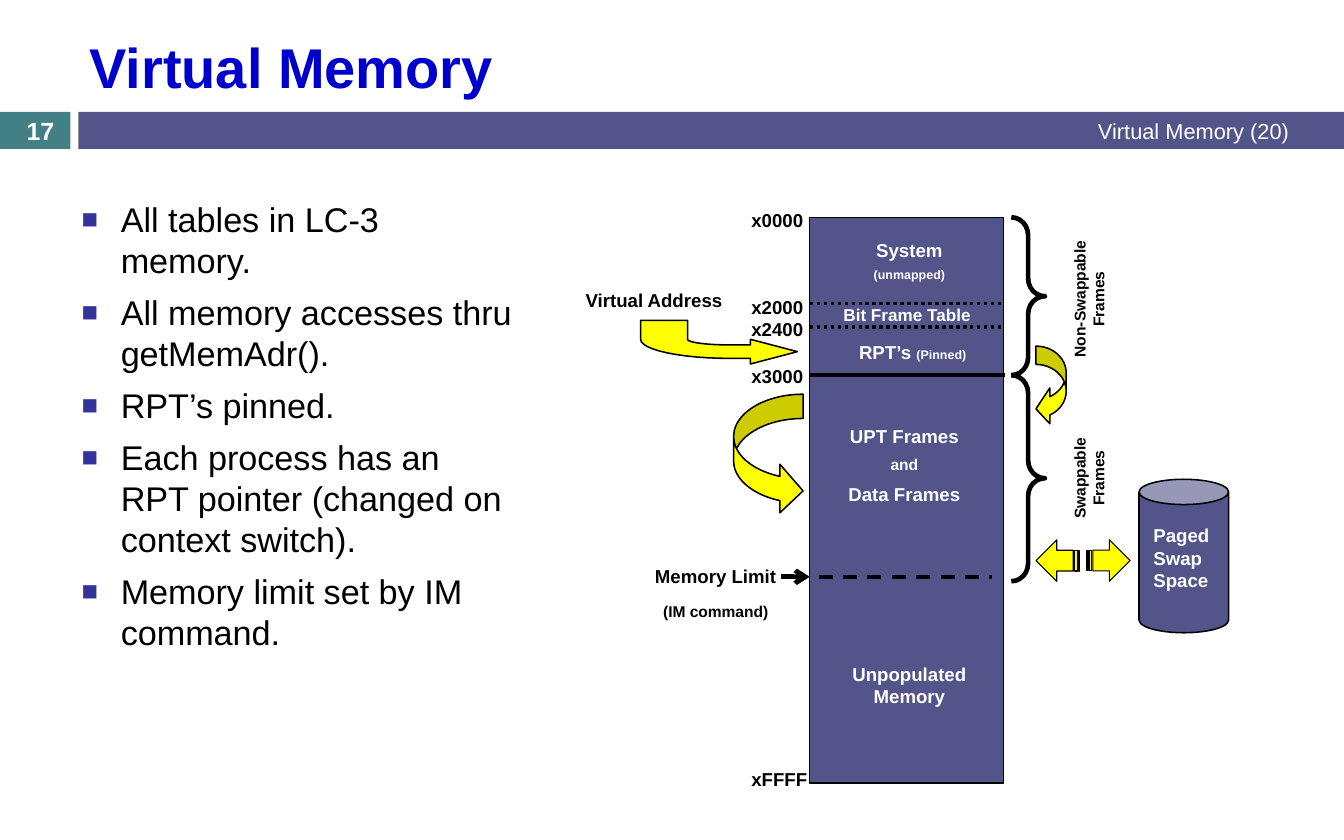
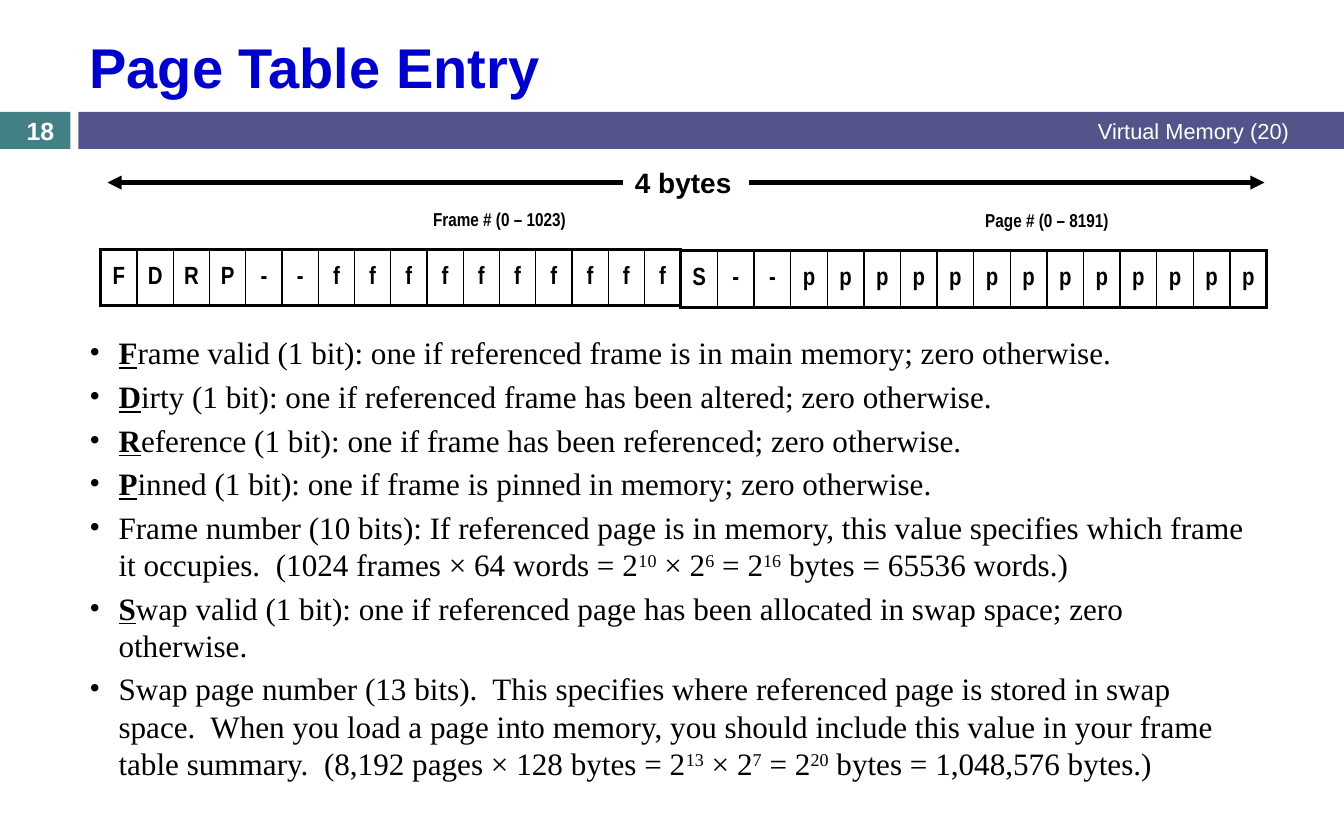
from math import cos, pi, sin

from lxml.etree import SubElement
from pptx import Presentation
from pptx.dml.color import RGBColor
from pptx.enum.dml import MSO_LINE as Dash
from pptx.enum.shapes import MSO_CONNECTOR, MSO_SHAPE as Preset
from pptx.enum.text import MSO_ANCHOR as Anchor, PP_ALIGN as Align
from pptx.oxml.ns import qn
from pptx.util import Inches, Pt

hue = RGBColor.from_string
BLACK, WHITE, TITLE = "000000", "FFFFFF", "0000CC"
SLATE, TEAL, YELLOW, BULLET = "53548A", "438086", "FFFF00", "333399"

deck = Presentation()
deck.slide_width, deck.slide_height = Inches(12), Inches(7.5)
COL, ROW = deck.slide_width // 120, deck.slide_height // 75


def grid(*spans):
    return [round(span * (ROW if i % 2 else COL)) for i, span in enumerate(spans)]


def write(frame, paragraphs, size=12, color=BLACK, bold=True, font="Arial",
          align=Align.LEFT, gap=0, bullet=None, **layout):
    for name, value in ({"word_wrap": True} | layout).items():
        setattr(frame, name, value)
    for i, runs in enumerate(paragraphs):
        line = frame.add_paragraph() if i else frame.paragraphs[0]
        line.alignment = align
        if i:
            line.space_before = Pt(gap)
        if bullet:
            mark, indent, tint, percent = bullet
            pPr = line._p.get_or_add_pPr()
            pPr.set("marL", str(Inches(indent)))
            pPr.set("indent", str(-Inches(indent)))
            SubElement(SubElement(pPr, qn("a:buClr")), qn("a:srgbClr"), val=tint)
            SubElement(pPr, qn("a:buSzPct"), val=str(percent * 1000))
            SubElement(pPr, qn("a:buFont"), typeface=font)
            SubElement(pPr, qn("a:buChar"), char=mark)
        for text, changes in [(runs, {})] if isinstance(runs, str) else runs:
            for k, piece in enumerate(text.split("^")):
                run = line.add_run()
                run.text = piece
                look = {"name": font, "size": Pt(size), "bold": bold} | changes
                for name, value in look.items():
                    setattr(run.font, name, value)
                run.font.color.rgb = hue(color)
                if k % 2:
                    run._r.get_or_add_rPr().set("baseline", "30000")


memory, entry = [deck.slides.add_slide(deck.slide_layouts[6]) for _ in range(2)]

for number, (slide, title) in enumerate([(memory, "Virtual Memory"), (entry, "Page Table Entry")], 17):
    for box, color in [((0, 10, 6.3, 3.3), TEAL), ((7, 10, 113, 3.3), SLATE)]:
        band = slide.shapes.add_shape(Preset.RECTANGLE, *grid(*box))
        band.shadow.inherit = False
        band.fill.solid()
        band.fill.fore_color.rgb = hue(color)
        band.line.fill.background()
    for box, text, look in [
        ((7, 1.9, 109.1, 8), title, {"size": 36, "color": TITLE}),
        ((45, 9.9, 71.1, 3.5), "Virtual Memory (20)",
         {"size": 14, "color": WHITE, "bold": False, "align": Align.RIGHT}),
        ((0, 10.2, 7.2, 3), str(number), {"size": 16, "color": WHITE, "align": Align.CENTER}),
    ]:
        write(slide.shapes.add_textbox(*grid(*box)).text_frame, [text],
              vertical_anchor=Anchor.MIDDLE, **look)

points = memory.shapes.add_textbox(*grid(6.3, 17.2, 40.8, 54.9))
write(points.text_frame, [
    "All tables in LC-3 memory.",
    "All memory accesses thru getMemAdr().",
    "RPT’s pinned.",
    "Each process has an RPT pointer (changed on context switch).",
    "Memory limit set by IM command.",
], size=22, bold=False, gap=7, bullet=("■", 0.35, BULLET, 80))

quarter = [pi / 2 * step / 12 for step in range(13)]
hub_x, hub_y = 65.2, 30.3
outer = [(hub_x - 8 * sin(a), hub_y + 1.7 * cos(a)) for a in quarter]
inner = [(hub_x - 3.8 * cos(a), hub_y + 0.5 * sin(a)) for a in quarter]
outline = [(71.2, 31.4), (67, 32.5), (67, 32), *outer, (57.2, 28.6), (61.4, 28.6),
           *inner, (67, 30.8), (67, 30.3)]
corners = [grid(*corner) for corner in outline]
address_arrow = memory.shapes.build_freeform(*corners[0])
address_arrow.add_line_segments(corners[1:], close=True)

parts = [(address_arrow.convert_to_shape(), YELLOW, 1)]
for preset, box, color, weight, adjust, turn in [
    (Preset.RECTANGLE, (72.3, 19.4, 17.3, 50.5), SLATE, 1, [], 0),
    (Preset.CURVED_LEFT_ARROW, (92.5, 30.9, 2.7, 7.2), YELLOW, 1, [0.607, 1.183, 0.458], 0),
    (Preset.CURVED_RIGHT_ARROW, (65.5, 35.2, 6.2, 10.8), YELLOW, 1, [0.349, 0.699, 0.333], 0),
    (Preset.CAN, (101.7, 42.8, 8, 13.7), SLATE, 1, [0.282], 0),
    (Preset.RIGHT_BRACE, (90.3, 33.5, 3, 18.4), None, 3, [0.53, 0.5], 0),
    (Preset.RIGHT_BRACE, (90.3, 19.4, 3, 14.1), None, 3, [0.53, 0.5], 0),
    (Preset.STRIPED_RIGHT_ARROW, (97, 48.2, 3.9, 3.7), YELLOW, 0.75, [], 0),
    (Preset.STRIPED_RIGHT_ARROW, (92.5, 48.2, 3.9, 3.7), YELLOW, 0.75, [], 180),
]:
    part = memory.shapes.add_shape(preset, *grid(*box))
    part.rotation = turn
    for i, value in enumerate(adjust):
        part.adjustments[i] = value
    parts.append((part, color, weight))
for part, color, weight in parts:
    part.shadow.inherit = False
    if color:
        part.fill.solid()
        part.fill.fore_color.rgb = hue(color)
    else:
        part.fill.background()
    part.line.color.rgb = hue(BLACK)
    part.line.width = Pt(weight)

for slide, start, end, weight, dash, tip in [
    (memory, (73.1, 51.5), (88.6, 51.5), 2.25, Dash.DASH, None),
    (memory, (72.3, 33.5), (89.7, 33.5), 2.25, None, None),
    (memory, (72.3, 29.2), (89.7, 29.2), 2.25, Dash.ROUND_DOT, None),
    (memory, (72.3, 27.1), (89.7, 27.1), 2.25, Dash.ROUND_DOT, None),
    (memory, (69.7, 51.5), (72.3, 51.5), 3, None, "arrow"),
    (entry, (55.6, 16.3), (9.6, 16.3), 3, None, "triangle"),
    (entry, (66.9, 16.3), (112.9, 16.3), 3, None, "triangle"),
]:
    rule = slide.shapes.add_connector(MSO_CONNECTOR.STRAIGHT, *grid(*start, *end))
    rule.line.color.rgb = hue(BLACK)
    rule.line.width = Pt(weight)
    if dash:
        rule.line.dash_style = dash
    if tip:
        SubElement(rule.line._get_or_add_ln(), qn("a:tailEnd"), type=tip)
    SubElement(rule._element.spPr, qn("a:effectLst"))

for address, top in [("x0000", 18.2), ("x2000", 25.9), ("x2400", 27.9), ("x3000", 32.1), ("xFFFF", 68.1)]:
    write(memory.shapes.add_textbox(*grid(66.1, top, 7.8, 3)).text_frame, [address])

small, medium = {"size": Pt(8)}, {"size": Pt(10)}
flush = dict.fromkeys(["margin_left", "margin_top", "margin_right", "margin_bottom"], 0)
inside = {"color": WHITE, "align": Align.CENTER}
beside = {"size": 10, "align": Align.CENTER, "word_wrap": False}
for box, lines, turn, look in [
    ((72.7, 20.8, 17, 5), ["System", [("(unmapped)", small)]], 0, inside | {"gap": 4}),
    ((72.7, 27.2, 16.6, 1.9), ["Bit Frame Table"], 0, inside | flush | {"size": 11}),
    ((72.7, 29.9, 17.6, 3), [[("RPT’s ", {}), ("(Pinned)", small)]], 0, inside),
    ((72.7, 37.4, 16.1, 8.6), ["UPT Frames", [("and", medium)], "Data Frames"], 0, inside | {"gap": 5.5}),
    ((72.7, 58.7, 17, 5), ["Unpopulated", "Memory"], 0, inside),
    ((56.9, 49.9, 14, 6.1), ["Memory Limit", [("(IM command)", medium)]], 0,
     {"align": Align.CENTER, "gap": 10}),
    ((51.3, 25.3, 14.9, 3), ["Virtual Address"], 0, {}),
    ((102, 46.3, 8, 7.1), ["Paged", "Swap", "Space"], 0, {"color": WHITE}),
    ((92.6, 40.5, 9.3, 4.4), ["Swappable", "Frames"], 270, beside),
    ((91, 24.5, 12.5, 4.4), ["Non-Swappable", "Frames"], 270, beside),
]:
    label = memory.shapes.add_textbox(*grid(*box))
    label.rotation = turn
    write(label.text_frame, lines, **look)

write(entry.shapes.add_textbox(*grid(52.2, 14.3, 17.6, 4)).text_frame, ["4 bytes"],
      size=18, align=Align.CENTER)

for box, bits, heading, first in [
    ((60.8, 17.3, 52.3, 10.2), "S--" + "p" * 13, "Page # (0 – 8191)", 4),
    ((9, 17.3, 51.8, 10), "FDRP--" + "f" * 10, "Frame # (0 – 1023)", 6),
]:
    word = entry.shapes.add_table(2, len(bits), *grid(*box)).table
    word.first_row = word.horz_banding = False
    word.cell(0, first).merge(word.cell(0, len(bits) - 1))
    narrow = {"font": "Arial Narrow", "align": Align.CENTER}
    write(word.cell(0, first).text_frame, [heading], **narrow)
    for i, bit in enumerate(bits):
        write(word.cell(1, i).text_frame, [bit], size=16, **narrow)
        for name, value in flush.items():
            setattr(word.cell(1, i), name, value)
        left = 1 if i else 2.25
        right = 1 if i < len(bits) - 1 else 2.25
        for row, edges in enumerate([(0, 0, 0, 2.25), (left, right, 2.25, 2.25)]):
            cell = word.cell(row, i)
            cell.vertical_anchor = Anchor.MIDDLE
            tcPr = cell._tc.get_or_add_tcPr()
            for side, weight in zip("LRTB", edges):
                edge = SubElement(tcPr, qn("a:ln" + side), w=str(Pt(weight)))
                if weight:
                    SubElement(SubElement(edge, qn("a:solidFill")), qn("a:srgbClr"), val=BLACK)
                else:
                    SubElement(edge, qn("a:noFill"))
            cell.fill.background()

fields = [
    ("F", "rame valid (1 bit): one if referenced frame is in main memory; zero otherwise."),
    ("D", "irty (1 bit): one if referenced frame has been altered; zero otherwise."),
    ("R", "eference (1 bit): one if frame has been referenced; zero otherwise."),
    ("P", "inned (1 bit): one if frame is pinned in memory; zero otherwise."),
    ("", "Frame number (10 bits): If referenced page is in memory, this value specifies which frame "
         "it occupies.  (1024 frames × 64 words = 2^10^ × 2^6^ = 2^16^ bytes = 65536 words.)"),
    ("S", "wap valid (1 bit): one if referenced page has been allocated in swap space; zero otherwise."),
    ("", "Swap page number (13 bits).  This specifies where referenced page is stored in swap space.  "
         "When you load a page into memory, you should include this value in your frame table summary.  "
         "(8,192 pages × 128 bytes = 2^13^ × 2^7^ = 2^20^ bytes = 1,048,576 bytes.)"),
]
initial = {"bold": True, "underline": True}
meanings = entry.shapes.add_textbox(*grid(7, 29.8, 106.1, 41.1))
write(meanings.text_frame,
      [[(letter, initial), (rest, {})] if letter else rest for letter, rest in fields],
      size=20, bold=False, font="Times New Roman", gap=4, bullet=("•", 0.26, BLACK, 100),
      margin_top=0, margin_bottom=0)

deck.save("out.pptx")
